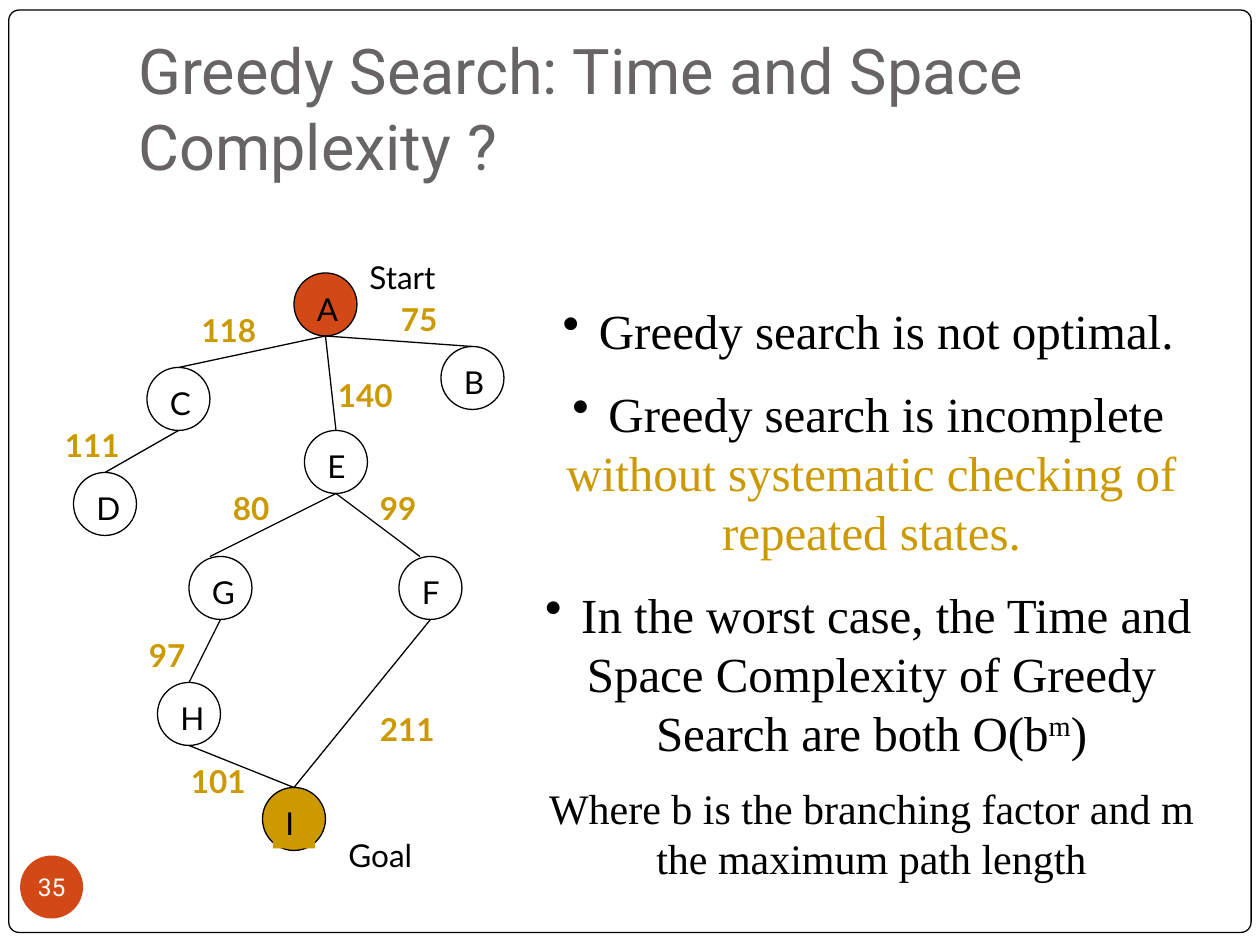
import dataclasses

import lxml.etree
import pptx
import pptx.dml.color
import pptx.enum.shapes
import pptx.enum.text
import pptx.oxml.ns
import pptx.util

INCH = pptx.util.Inches
SHAPE = pptx.enum.shapes.MSO_SHAPE
ALIGN = pptx.enum.text.PP_ALIGN
ANCHOR = pptx.enum.text.MSO_ANCHOR
UNIT = 1 / 12  # one grid cell of the tree, in inches


@dataclasses.dataclass(frozen=True)
class Theme:
    ink: str = "000000"
    paper: str = "FFFFFF"
    grey: str = "696464"
    red: str = "D34817"
    gold: str = "CC9900"
    head: str = "Roboto"
    label: str = "Lato"
    body: str = "Times New Roman"
    title: int = 36
    point: int = 28
    note: int = 24
    small: int = 18
    badge: int = 14
    line: float = 0.75


THEME = Theme()


def color(code):
    return pptx.dml.color.RGBColor.from_string(code)


def style(run, face, size, tint, bold=False):
    run.font.name, run.font.size = face, pptx.util.Pt(size)
    run.font.color.rgb = color(tint)
    run.font.bold = bold


def paint(shape, fill=None, line=None):
    shape.shadow.inherit = False
    if fill:
        shape.fill.solid()
        shape.fill.fore_color.rgb = color(fill)
    else:
        shape.fill.background()
    if line:
        shape.line.color.rgb = color(line)
        shape.line.width = pptx.util.Pt(THEME.line)
    else:
        shape.line.fill.background()


def add_form(shapes, kind, box, fill=None, line=None):
    shape = shapes.add_shape(kind, *map(INCH, box))
    paint(shape, fill, line)
    return shape


def add_text(shapes, box, text, face, size, tint, bold=False):
    shape = shapes.add_textbox(*map(INCH, box))
    frame = shape.text_frame
    frame.word_wrap = True
    frame.text = text
    for run in frame.paragraphs[0].runs:
        style(run, face, size, tint, bold)
    return shape


def add_line(shapes, start, end):
    line = shapes.add_connector(pptx.enum.shapes.MSO_CONNECTOR.STRAIGHT,
                                *map(INCH, (*start, *end)))
    line.line.color.rgb = color(THEME.ink)
    line.line.width = pptx.util.Pt(THEME.line)
    lxml.etree.SubElement(line._element.spPr, pptx.oxml.ns.qn("a:effectLst"))


def add_dot(para):
    props = para._p.get_or_add_pPr()
    props.set("marL", "0")
    props.set("indent", str(INCH(-0.19)))
    tint = lxml.etree.SubElement(props, pptx.oxml.ns.qn("a:buClr"))
    lxml.etree.SubElement(tint, pptx.oxml.ns.qn("a:srgbClr"), val=THEME.ink)
    lxml.etree.SubElement(props, pptx.oxml.ns.qn("a:buChar"), char="•")


# Frame, title and page number
def draw_frame(shapes, box):
    left, top, width, height = box
    frame = add_form(shapes, SHAPE.ROUNDED_RECTANGLE,
                     (left + 0.07, top + 0.08, width - 0.14, height - 0.18),
                     THEME.paper, THEME.ink)
    frame.adjustments[0] = 0.011

    title = add_text(shapes, (left + 0.1 * width, top + 0.04 * height,
                              0.85 * width, 1.25),
                     "Greedy Search: Time and Space Complexity ?",
                     THEME.head, THEME.title, THEME.grey)
    title.text_frame.vertical_anchor = ANCHOR.BOTTOM
    title.text_frame.margin_bottom = INCH(0.1)

    badge = add_form(shapes, SHAPE.OVAL,
                     (left + 0.16, top + height - 0.71, 0.5, 0.5), THEME.red)
    text = badge.text_frame
    text.margin_left = text.margin_right = 0
    text.margin_top = text.margin_bottom = 0
    text.vertical_anchor = ANCHOR.MIDDLE
    text.text = "35"
    text.paragraphs[0].alignment = ALIGN.CENTER
    style(text.paragraphs[0].runs[0], THEME.head, THEME.badge, THEME.paper)


# Search tree: nodes, edges, costs, all in grid cells
def draw_tree(shapes, box):
    def place(col, row):
        return box[0] + col * UNIT, box[1] + row * UNIT

    nodes = {"A": (23, 2), "B": (37, 9), "C": (9, 11), "D": (2, 21),
             "E": (24, 17), "F": (33, 29), "G": (13, 29), "H": (10, 41),
             "I": (20, 51)}
    fills = {"A": THEME.red, "I": THEME.gold}
    side = 6  # node width in cells
    for name, (col, row) in nodes.items():
        group = shapes.add_group_shape().shapes
        add_form(group, SHAPE.OVAL, (*place(col, row), side * UNIT, side * UNIT),
                 fills.get(name), THEME.ink)
        letter = add_text(group, (*place(col + 1, row + 1), 4 * UNIT, 0.4), name,
                          THEME.label, THEME.small, THEME.ink)
        if name == "I":
            paint(letter, THEME.gold)

    # Edges run from the foot of one node to the head of the next
    shift = {"EF": -1, "EG": -1}
    for edge in ("AB", "AC", "AE", "CD", "EF", "EG", "GH", "HI", "FI"):
        (col, row), (to_col, to_row) = (nodes[name] for name in edge)
        add_line(shapes, place(col + side / 2, row + side),
                 place(to_col + side / 2 + shift.get(edge, 0), to_row))

    costs = [("118", 13, 5), ("75", 32, 4), ("140", 26, 11.2), ("111", 0, 16),
             ("80", 16, 22), ("99", 30, 22), ("97", 8, 36), ("211", 30, 43),
             ("101", 12, 48)]
    for text, col, row in costs:
        width = (2 + 2 * len(text) + 2 * (len(text) > 2 or 1)) * UNIT
        add_text(shapes, (*place(col, row), width, 0.4), text,
                 THEME.label, THEME.small, THEME.gold, True)
    for text, col, row in (("Start", 29, 0), ("Goal", 27, 55)):
        add_text(shapes, (*place(col, row), 16 * UNIT, 0.4), text,
                 THEME.label, THEME.small, THEME.ink)


# Points on the right: each is a gap before, a dot flag, a size and its runs
def draw_points(shapes, box):
    ink, gold = THEME.ink, THEME.gold
    points = [
        (0, True, THEME.point, [(" Greedy search is not optimal.", ink, 0)]),
        (14, True, THEME.point, [
            (" Greedy search is incomplete ", ink, 0),
            ("without systematic checking of repeated states.", gold, 0)]),
        (14, True, THEME.point, [
            (" In the worst case, the Time and Space Complexity of Greedy "
             "Search are both O(b", ink, 0), ("m", ink, 30), (")", ink, 0)]),
        (12, False, THEME.note, [
            ("Where b is the branching factor and m the maximum path length",
             ink, 0)]),
    ]
    frame = shapes.add_textbox(*map(INCH, box)).text_frame
    frame.word_wrap = True
    for index, (gap, dot, size, runs) in enumerate(points):
        para = frame.add_paragraph() if index else frame.paragraphs[0]
        if dot:
            add_dot(para)
        para.alignment = ALIGN.CENTER
        if gap:
            para.space_before = pptx.util.Pt(gap)
        for text, tint, lift in runs:
            run = para.add_run()
            run.text = text
            style(run, THEME.body, size, tint)
            if lift:
                run._r.get_or_add_rPr().set("baseline", str(lift * 1000))


def main():
    deck = pptx.Presentation()
    deck.slide_width, deck.slide_height = INCH(10), INCH(7.5)
    shapes = deck.slides.add_slide(deck.slide_layouts[6]).shapes
    draw_frame(shapes, (0, 0, 10, 7.5))
    draw_tree(shapes, (5 * UNIT, 24 * UNIT))
    draw_points(shapes, (49 * UNIT, 28 * UNIT, 68 * UNIT, 4.41))
    deck.save("out.pptx")


if __name__ == "__main__":
    main()
